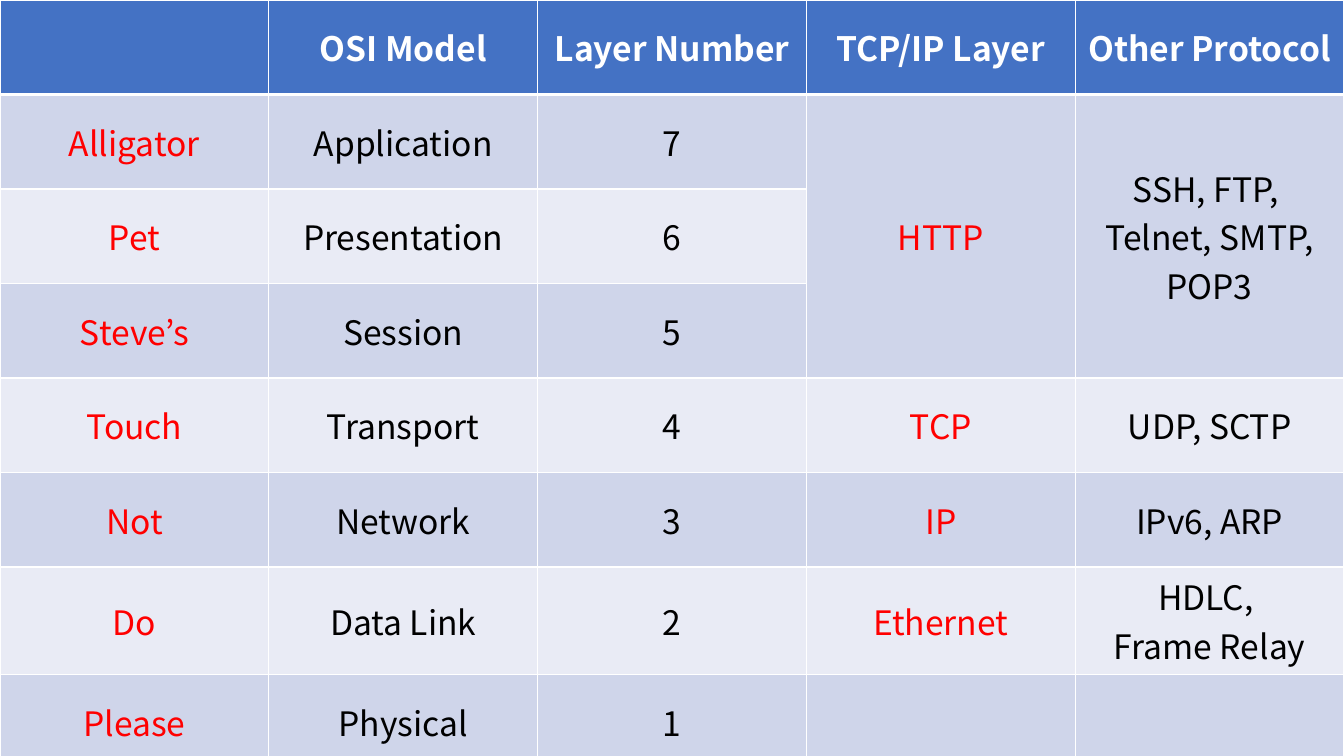
import dataclasses

import lxml.etree
import pptx
import pptx.dml.color
import pptx.enum.text
import pptx.oxml.ns
import pptx.util
from pptx.util import Cm


@dataclasses.dataclass(frozen=True)
class Theme:
    font: str = "Noto Sans CJK KR"
    size: int = 24
    header: str = "4472C4"
    bands: tuple = ("E9EBF5", "CFD5EA")
    white: str = "FFFFFF"
    text: str = "000000"
    accent: str = "FF0000"
    thin: int = 1
    thick: int = 3


theme = Theme()


def add_border(cell, side, points):
    qualified = pptx.oxml.ns.qn
    properties = cell._tc.get_or_add_tcPr()
    line = lxml.etree.SubElement(properties, qualified(f"a:ln{side}"), w=str(pptx.util.Pt(points)))
    fill = lxml.etree.SubElement(line, qualified("a:solidFill"))
    lxml.etree.SubElement(fill, qualified("a:srgbClr"), val=theme.white)


layer_rows = [
    ("", "OSI Model", "Layer Number", "TCP/IP Layer", "Other Protocol"),
    ("Alligator", "Application", "7", "HTTP", "SSH, FTP, \nTelnet, SMTP, POP3"),
    ("Pet", "Presentation", "6", "", ""),
    ("Steve’s", "Session", "5", "", ""),
    ("Touch", "Transport", "4", "TCP", "UDP, SCTP"),
    ("Not", "Network", "3", "IP", "IPv6, ARP"),
    ("Do", "Data Link", "2", "Ethernet", "HDLC, \nFrame Relay"),
    ("Please", "Physical", "1", "", ""),
]
accent_columns = (0, 3)
merged_columns = (3, 4)

presentation = pptx.Presentation()
presentation.slide_width = Cm(33.87)
presentation.slide_height = Cm(19.05)
slide = presentation.slides.add_slide(presentation.slide_layouts[6])

table = slide.shapes.add_table(
    len(layer_rows), len(layer_rows[0]), 0, 0,
    presentation.slide_width, presentation.slide_height,
).table

for column in merged_columns:
    table.cell(1, column).merge(table.cell(3, column))

for row, texts in enumerate(layer_rows):
    is_header = row == 0
    for column, text in enumerate(texts):
        cell = table.cell(row, column)
        for side in "LRTB":
            below_header = (row, side) in ((0, "B"), (1, "T"))
            add_border(cell, side, theme.thick if below_header else theme.thin)

        band = theme.bands[1] if cell.is_spanned else theme.bands[row % 2]
        cell.fill.solid()
        cell.fill.fore_color.rgb = pptx.dml.color.RGBColor.from_string(
            theme.header if is_header else band
        )
        cell.vertical_anchor = pptx.enum.text.MSO_ANCHOR.MIDDLE
        if not text:
            continue

        body_color = theme.accent if column in accent_columns else theme.text
        cell.text_frame.text = text
        for paragraph in cell.text_frame.paragraphs:
            paragraph.alignment = pptx.enum.text.PP_ALIGN.CENTER
            for run in paragraph.runs:
                run.font.name = theme.font
                run.font.size = pptx.util.Pt(theme.size)
                run.font.bold = is_header
                run.font.color.rgb = pptx.dml.color.RGBColor.from_string(
                    theme.white if is_header else body_color
                )

presentation.save("out.pptx")
